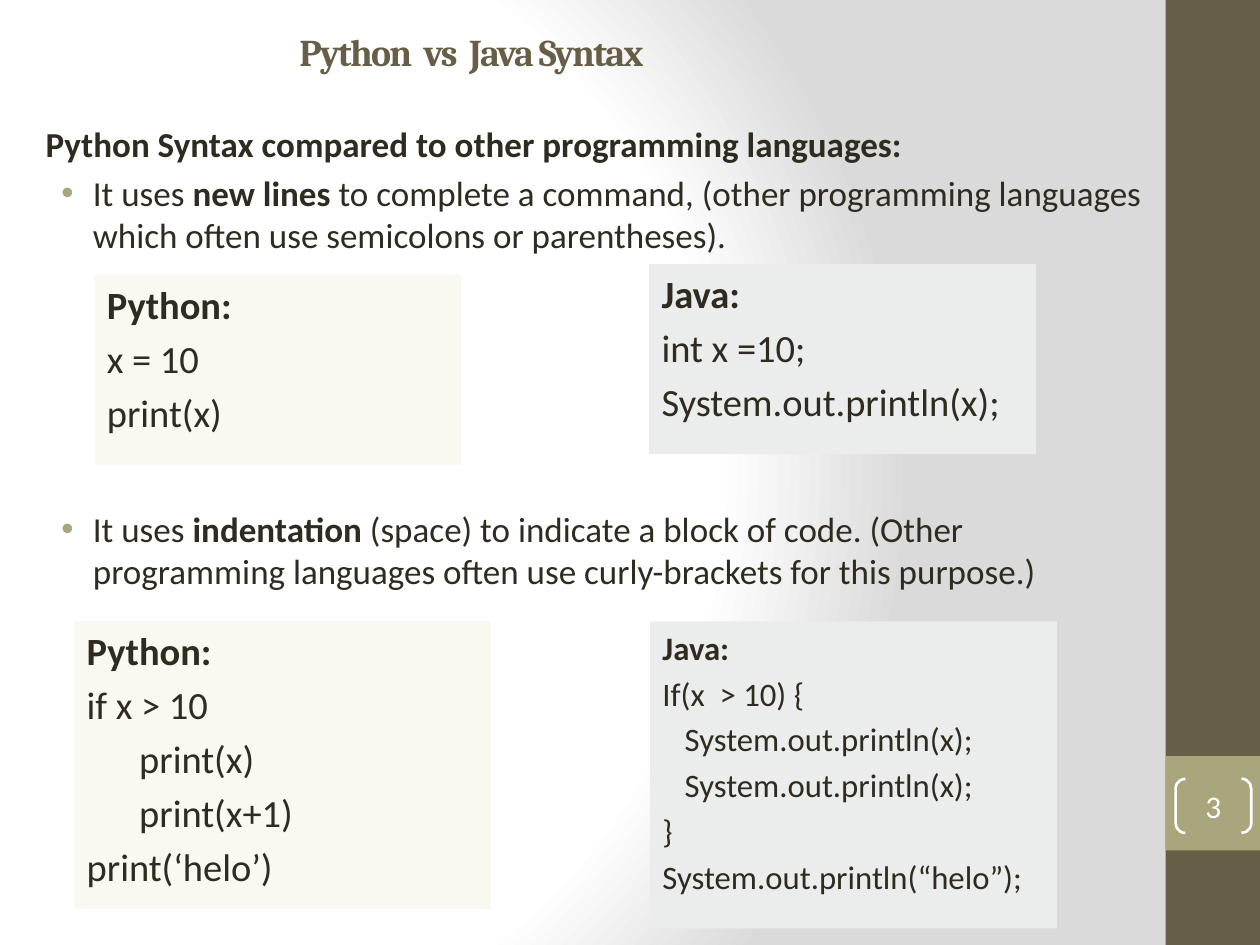
from dataclasses import dataclass

from lxml.etree import SubElement
from pptx import Presentation
from pptx.dml.color import RGBColor
from pptx.enum.shapes import MSO_SHAPE as Shape
from pptx.enum.text import MSO_ANCHOR as Anchor, PP_ALIGN as Align
from pptx.oxml import parse_xml
from pptx.oxml.ns import nsdecls, qn
from pptx.util import Pt


@dataclass(frozen=True)
class Theme:
    """Colours, fonts and type sizes of the slide."""
    ink: str = "2F2B20"
    brown: str = "675E47"
    olive: str = "A9A57C"
    cream: str = "F9F8F1"
    mist: str = "EAEDEB"
    white: str = "FFFFFF"
    grey: str = "DADADA"
    heading_font: str = "Cambria"
    body_font: str = "Calibri"
    title_size: float = 21.6
    body_size: float = 20
    code_size: float = 22
    small_code_size: float = 18.7
    number_size: float = 18


THEME = Theme()


def style(span, size, color=THEME.ink, bold=False, name=THEME.body_font):
    """Format one run."""
    span.font.size = Pt(size)
    span.font.bold = bold
    span.font.name = name
    span.font.color.rgb = RGBColor.from_string(color)


def add_panel(page, box, color):
    """Add a plain filled rectangle."""
    panel = page.shapes.add_shape(Shape.RECTANGLE, *map(Pt, box))
    panel.shadow.inherit = False
    panel.fill.solid()
    panel.fill.fore_color.rgb = RGBColor.from_string(color)
    panel.line.fill.background()
    return panel


def add_text_frame(page, box):
    """Add a wrapping text box and return its frame."""
    frame = page.shapes.add_textbox(*map(Pt, box)).text_frame
    frame.word_wrap = True
    return frame


def paint_background(page):
    """Fill the page with a radial gradient from white to grey."""
    page.background.fill.solid()
    plain = page.element.find(".//" + qn("a:solidFill"))
    stops = "".join(
        f'<a:gs pos="{place * 1000}"><a:srgbClr val="{color}"/></a:gs>'
        for place, color in ((0, THEME.white), (75, THEME.white), (100, THEME.grey)))
    plain.getparent().replace(plain, parse_xml(
        f'<a:gradFill {nsdecls("a")} rotWithShape="1"><a:gsLst>{stops}</a:gsLst>'
        '<a:path path="circle"><a:fillToRect l="20000" t="50000" r="100000" b="50000"/>'
        '</a:path></a:gradFill>'))


def add_sidebar(page, box, number):
    """Add the right band with the bracketed page number."""
    left, top, width, height = box
    add_panel(page, box, THEME.brown)
    add_panel(page, (left, top + 0.8 * height, width, width), THEME.olive)
    bracket = page.shapes.add_shape(
        Shape.DOUBLE_BRACKET, Pt(left + 5.8), Pt(top + 445), Pt(43.2), Pt(31))
    bracket.adjustments[0] = 0.18
    bracket.shadow.inherit = False
    bracket.fill.background()
    bracket.line.color.rgb = RGBColor.from_string(THEME.white)
    bracket.line.width = Pt(1.5)
    frame = bracket.text_frame
    frame.margin_left = frame.margin_right = frame.margin_top = frame.margin_bottom = 0
    frame.vertical_anchor = Anchor.MIDDLE
    frame.text = number
    para = frame.paragraphs[0]
    para.alignment = Align.CENTER
    style(para.runs[0], THEME.number_size, THEME.white)


def add_title(page, box, text):
    """Add the indented slide title."""
    frame = add_text_frame(page, box)
    frame.vertical_anchor = Anchor.MIDDLE
    frame.text = text
    para = frame.paragraphs[0]
    para._p.get_or_add_pPr().set("marL", str(Pt(144)))
    span = para.runs[0]
    style(span, THEME.title_size, THEME.brown, True, THEME.heading_font)
    span._r.get_or_add_rPr().set("spc", "-100")


def add_heading(page, box, text):
    """Add the bold line above the points."""
    frame = add_text_frame(page, box)
    frame.text = text
    style(frame.paragraphs[0].runs[0], THEME.body_size, bold=True)


def add_point(page, box, before, strong, after):
    """Add a bulleted sentence with one bold part."""
    para = add_text_frame(page, box).paragraphs[0]
    for text, bold in ((before, False), (strong, True), (after, False)):
        span = para.add_run()
        span.text = text
        style(span, THEME.body_size, bold=bold)
    props = para._p.get_or_add_pPr()
    props.set("marL", str(Pt(27)))
    props.set("indent", str(Pt(-18)))
    SubElement(SubElement(props, qn("a:buClr")), qn("a:srgbClr"), val=THEME.olive)
    SubElement(props, qn("a:buFont"), typeface="Arial")
    SubElement(props, qn("a:buChar"), char="\u2022")


def add_code(page, box, color, size, lines, step=0):
    """Add a code card with a bold first line and indented inner lines."""
    frame = add_panel(page, box, color).text_frame
    frame.word_wrap = True
    frame.vertical_anchor = Anchor.TOP
    frame.text = "\n".join(line.strip() for line in lines)
    for index, (para, line) in enumerate(zip(frame.paragraphs, lines)):
        para.alignment = Align.LEFT
        para.space_before = Pt(0.2 * size if index else 0)
        if line.startswith(" "):
            para._p.get_or_add_pPr().set("marL", str(Pt(step)))
        style(para.runs[0], size, bold=index == 0)


def build_slide(page):
    """Place every region of the syntax comparison."""
    paint_background(page)
    add_sidebar(page, (666, 0, 54, 540), "3")
    add_title(page, (20, 9.5, 595, 39.5), "Python  vs  Java Syntax")
    add_heading(page, (19, 66.5, 648, 32),
                "Python Syntax compared to other programming languages:")
    add_point(page, (19, 94.5, 648, 56), "It uses ", "new lines ",
              "to complete a command, (other programming languages "
              "which often use semicolons or parentheses).")
    add_point(page, (19, 286.5, 648, 56), "It uses ", "indentation",
              " (space) to indicate a block of code. (Other programming "
              "languages often use curly-brackets for this purpose.)")
    add_code(page, (54, 157, 209.5, 108.5), THEME.cream, THEME.code_size,
             ("Python:", "x = 10", "print(x)"))
    add_code(page, (371, 151, 221, 108.5), THEME.mist, THEME.code_size,
             ("Java:", "int x =10;", "System.out.println(x);"))
    add_code(page, (42.5, 355, 238, 164.5), THEME.cream, THEME.code_size,
             ("Python:", "if x > 10", " print(x)", " print(x+1)",
              "print(\u2018helo\u2019)"), 30)
    add_code(page, (371.5, 355, 232.5, 175.5), THEME.mist, THEME.small_code_size,
             ("Java:", "If(x  > 10) {", " System.out.println(x);",
              " System.out.println(x);", "}",
              "System.out.println(\u201chelo\u201d);"), 12.7)


deck = Presentation()
deck.slide_width, deck.slide_height = Pt(720), Pt(540)
build_slide(deck.slides.add_slide(deck.slide_layouts[6]))
deck.save("out.pptx")
